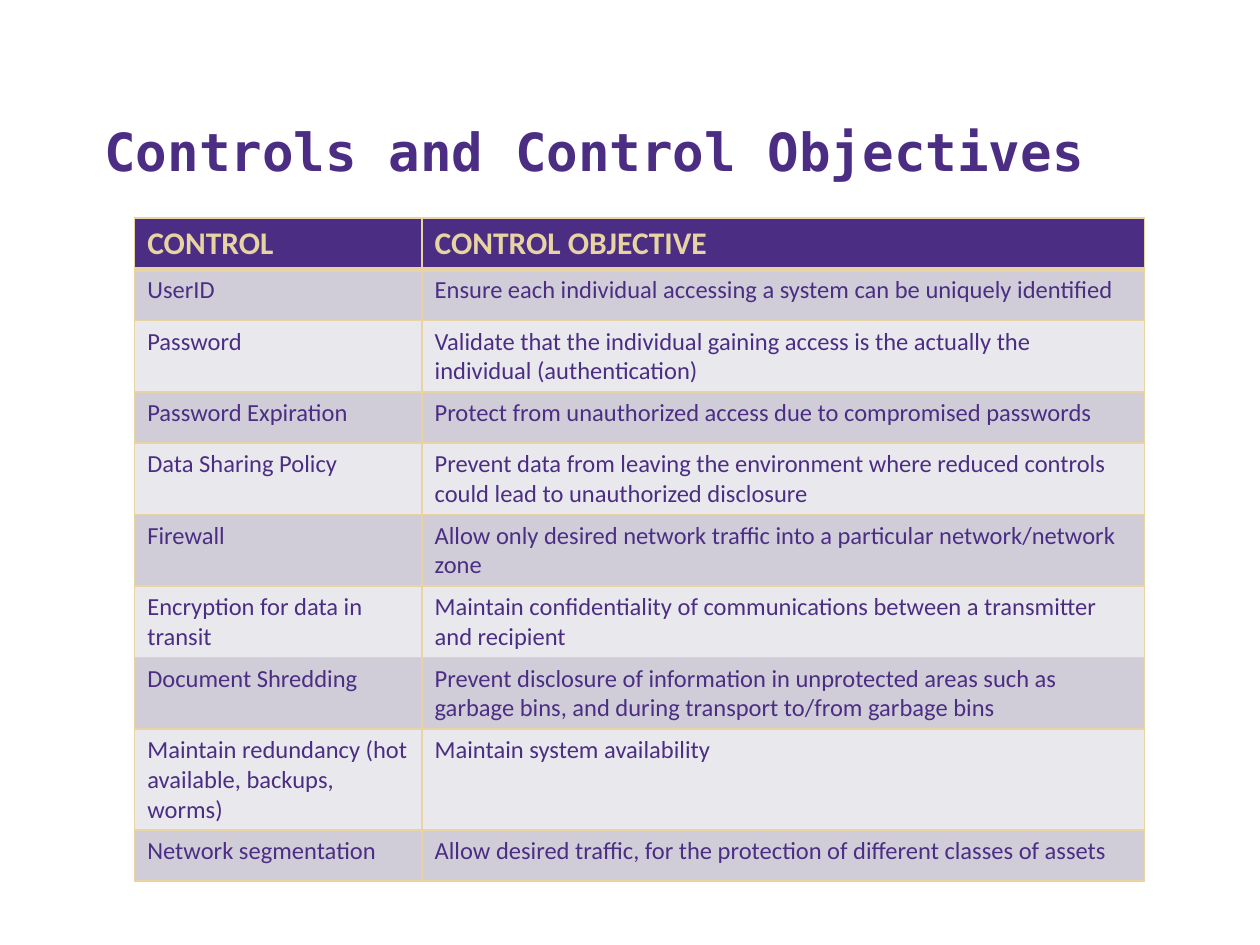
import pptx
import pptx.dml.color
import pptx.enum.text
import pptx.oxml
import pptx.oxml.ns
import pptx.util
from dataclasses import dataclass

Pt = pptx.util.Pt


@dataclass(frozen=True)
class Theme:
    ink: str = "4B2E83"
    gold: str = "E8D3A2"
    bands: tuple = ("D0CDD9", "E9E8ED")
    mono: str = "DejaVu Sans Mono"
    sans: str = "Calibri"
    title: int = 30
    head: int = 18
    body: int = 14


THEME = Theme()
ROWS = [
    ("CONTROL", "CONTROL OBJECTIVE"),
    ("UserID", "Ensure each individual accessing a system can be uniquely identified"),
    ("Password", "Validate that the individual gaining access is the actually the individual (authentication)"),
    ("Password Expiration", "Protect from unauthorized access due to compromised passwords"),
    ("Data Sharing Policy", "Prevent data from leaving the environment where reduced controls could lead to unauthorized disclosure"),
    ("Firewall", "Allow only desired network traffic into a particular network/network zone"),
    ("Encryption for data in transit", "Maintain confidentiality of communications between a transmitter and recipient"),
    ("Document Shredding", "Prevent disclosure of information in unprotected areas such as garbage bins, and during transport to/from garbage bins"),
    ("Maintain redundancy (hot available, backups, worms)", "Maintain system availability"),
    ("Network segmentation", "Allow desired traffic, for the protection of different classes of assets"),
]


def color(code):
    return pptx.dml.color.RGBColor.from_string(code)


def write(frame, text, face, size, code, bold):
    para = frame.paragraphs[0]
    para.text = text
    font = para.font
    font.name, font.size, font.bold = face, Pt(size), bold
    font.color.rgb = color(code)


def add_title(slide, text):
    box = slide.shapes.add_textbox(Pt(52.5), Pt(29.5), Pt(644.5), Pt(77.8))
    frame = box.text_frame
    frame.word_wrap = True
    frame.vertical_anchor = pptx.enum.text.MSO_ANCHOR.BOTTOM
    write(frame, text, THEME.mono, THEME.title, THEME.ink, True)


def add_edges(cell, widths):
    props = cell._tc.get_or_add_tcPr()
    space = pptx.oxml.ns.nsdecls("a")
    for index, (side, width) in enumerate(zip("LRTB", widths)):
        line = pptx.oxml.parse_xml(
            f'<a:ln{side} {space} w="{Pt(width)}"><a:solidFill>'
            f'<a:srgbClr val="{THEME.gold}"/></a:solidFill></a:ln{side}>'
        )
        props.insert(index, line)


def style_cell(cell, text, row):
    head = row == 0
    cell.fill.solid()
    cell.fill.fore_color.rgb = color(THEME.ink if head else THEME.bands[(row - 1) % 2])
    size = THEME.head if head else THEME.body
    write(cell.text_frame, text, THEME.sans, size, THEME.gold if head else THEME.ink, head)
    add_edges(cell, (1, 1, 3 if row == 1 else 1, 3 if head else 1))


def add_grid(slide, rows, widths, height):
    frame = slide.shapes.add_table(
        len(rows), len(widths), Pt(77), Pt(124.7), Pt(sum(widths)), Pt(height * len(rows))
    )
    table = frame.table
    for column, width in zip(table.columns, widths):
        column.width = Pt(width)
    for row, texts in enumerate(rows):
        table.rows[row].height = Pt(height)
        for col, text in enumerate(texts):
            style_cell(table.cell(row, col), text, row)


def main():
    deck = pptx.Presentation()
    deck.slide_width, deck.slide_height = Pt(720), Pt(540)
    slide = deck.slides.add_slide(deck.slide_layouts[6])
    add_title(slide, "Controls and Control Objectives")
    add_grid(slide, ROWS, (164.2, 412.8), 29.2)
    deck.save("out.pptx")


main()
